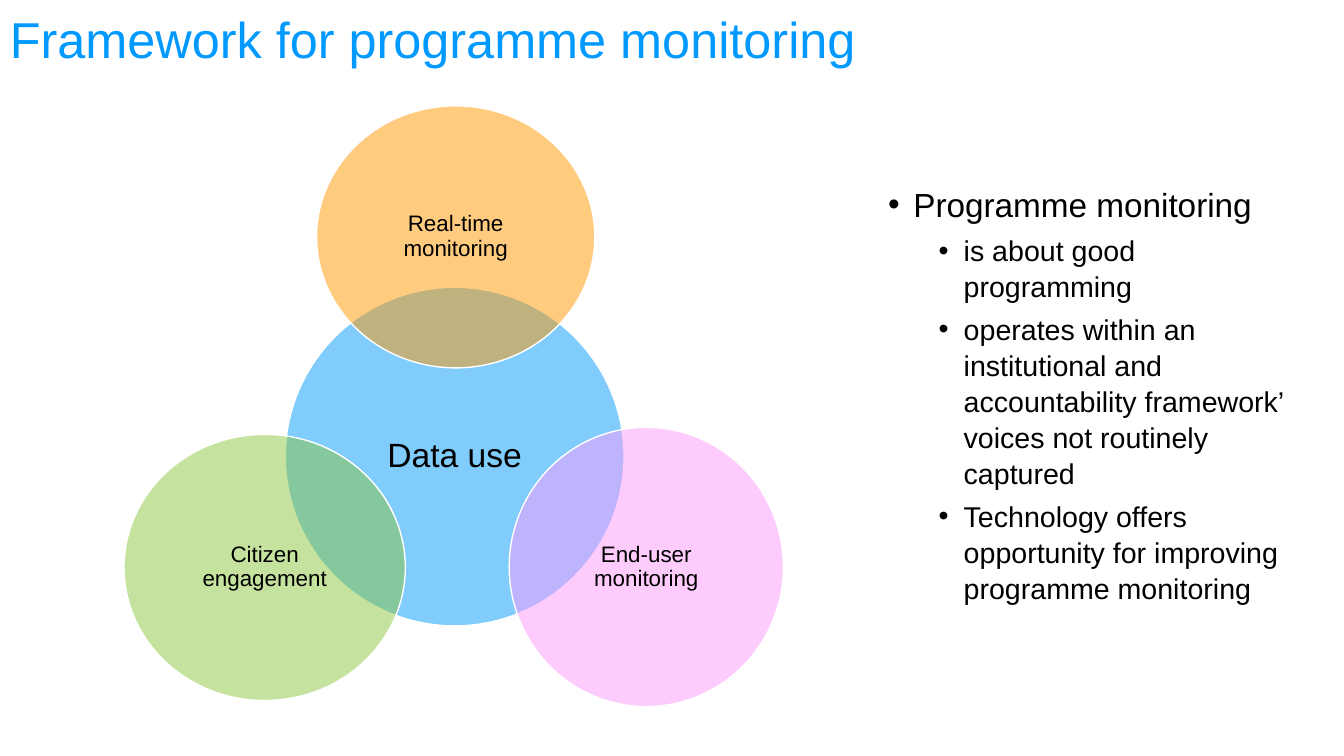
from dataclasses import dataclass

from lxml import etree
from pptx import Presentation
from pptx.dml.color import RGBColor
from pptx.enum.shapes import MSO_SHAPE
from pptx.enum.text import MSO_ANCHOR, PP_ALIGN
from pptx.oxml.ns import qn
from pptx.slide import Slide
from pptx.text.text import TextFrame, _Paragraph
from pptx.util import Inches, Pt

OVAL = MSO_SHAPE.OVAL
MIDDLE = MSO_ANCHOR.MIDDLE
CENTER = PP_ALIGN.CENTER
FONT_NAME = "Arial"
COLORS = {
    "title": "0099FF",
    "text": "000000",
    "outline": "FFFFFF",
    "data": "009BFD",
    "real_time": "FF9900",
    "end_user": "FD9BFD",
    "citizen": "8DC63F",
}


@dataclass
class Circle:
    label: str
    color: str
    left: float
    top: float
    width: float
    height: float
    font_size: float = 16


@dataclass
class Bullet:
    text: str
    indent: float = 0.75
    font_size: float = 20.4
    space_before: float = 5


CIRCLES = [
    Circle("Data use", "data", 2.83, 2.85, 3.36, 3.36, 24),
    Circle("Real-time monitoring", "real_time", 3.14, 1.05, 2.76, 2.6),
    Circle("End-user monitoring", "end_user", 5.05, 4.24, 2.72, 2.77),
    Circle("Citizen engagement", "citizen", 1.23, 4.31, 2.79, 2.64),
]
BULLETS = [
    Bullet("Programme monitoring", 0.25, 23.8, 0),
    Bullet("is about good programming"),
    Bullet("operates within an institutional and accountability framework’ "
           "voices not routinely captured"),
    Bullet("Technology offers opportunity for improving programme monitoring"),
]


def rgb(name: str) -> RGBColor:
    return RGBColor.from_string(COLORS[name])


def format_runs(paragraph: _Paragraph, size: float, color: str = "text") -> None:
    for run in paragraph.runs:
        run.font.name = FONT_NAME
        run.font.size = Pt(size)
        run.font.color.rgb = rgb(color)


def add_text_box(slide: Slide, left: float, top: float, width: float, height: float) -> TextFrame:
    box = slide.shapes.add_textbox(Inches(left), Inches(top), Inches(width), Inches(height))
    box.text_frame.word_wrap = True
    return box.text_frame


def add_title(slide: Slide) -> None:
    text_frame = add_text_box(slide, 0, 0, 13.33, 0.84)
    text_frame.vertical_anchor = MIDDLE
    text_frame.text = "Framework for programme monitoring"
    paragraph = text_frame.paragraphs[0]
    paragraph.line_spacing = 0.9
    format_runs(paragraph, 36, "title")


def add_circle(slide: Slide, circle: Circle) -> None:
    """Draw a half-transparent labelled circle."""
    shape = slide.shapes.add_shape(OVAL, Inches(circle.left), Inches(circle.top),
                                   Inches(circle.width), Inches(circle.height))
    shape.shadow.inherit = False
    shape.fill.solid()
    shape.fill.fore_color.rgb = rgb(circle.color)
    fill_color = shape.fill._xPr.find(qn("a:solidFill"))[0]
    etree.SubElement(fill_color, qn("a:alpha"), val="50000")
    shape.line.color.rgb = rgb("outline")
    shape.line.width = Pt(1)

    text_frame = shape.text_frame
    text_frame.word_wrap = True
    text_frame.vertical_anchor = MIDDLE
    text_frame.margin_left = text_frame.margin_right = Inches(0.03)
    text_frame.margin_top = text_frame.margin_bottom = Inches(0.03)
    text_frame.text = circle.label
    paragraph = text_frame.paragraphs[0]
    paragraph.alignment = CENTER
    paragraph.line_spacing = 0.9
    format_runs(paragraph, circle.font_size)


def add_bullets(slide: Slide) -> None:
    text_frame = add_text_box(slide, 8.71, 1.76, 4.21, 4.15)
    for index, bullet in enumerate(BULLETS):
        paragraph = text_frame.add_paragraph() if index else text_frame.paragraphs[0]
        paragraph.text = bullet.text
        paragraph.level = 1 if index else 0
        paragraph.line_spacing = 1.05
        paragraph.space_before = Pt(bullet.space_before)
        properties = paragraph._p.get_or_add_pPr()
        properties.set("marL", str(Inches(bullet.indent)))
        properties.set("indent", str(Inches(-0.25)))
        etree.SubElement(properties, qn("a:buFont"), typeface=FONT_NAME)
        etree.SubElement(properties, qn("a:buChar"), char="•")
        format_runs(paragraph, bullet.font_size)


def main() -> None:
    presentation = Presentation()
    presentation.slide_width = Inches(13.33)
    presentation.slide_height = Inches(7.5)
    slide = presentation.slides.add_slide(presentation.slide_layouts[6])
    add_bullets(slide)
    for circle in CIRCLES:
        add_circle(slide, circle)
    add_title(slide)
    presentation.save("out.pptx")


if __name__ == "__main__":
    main()
